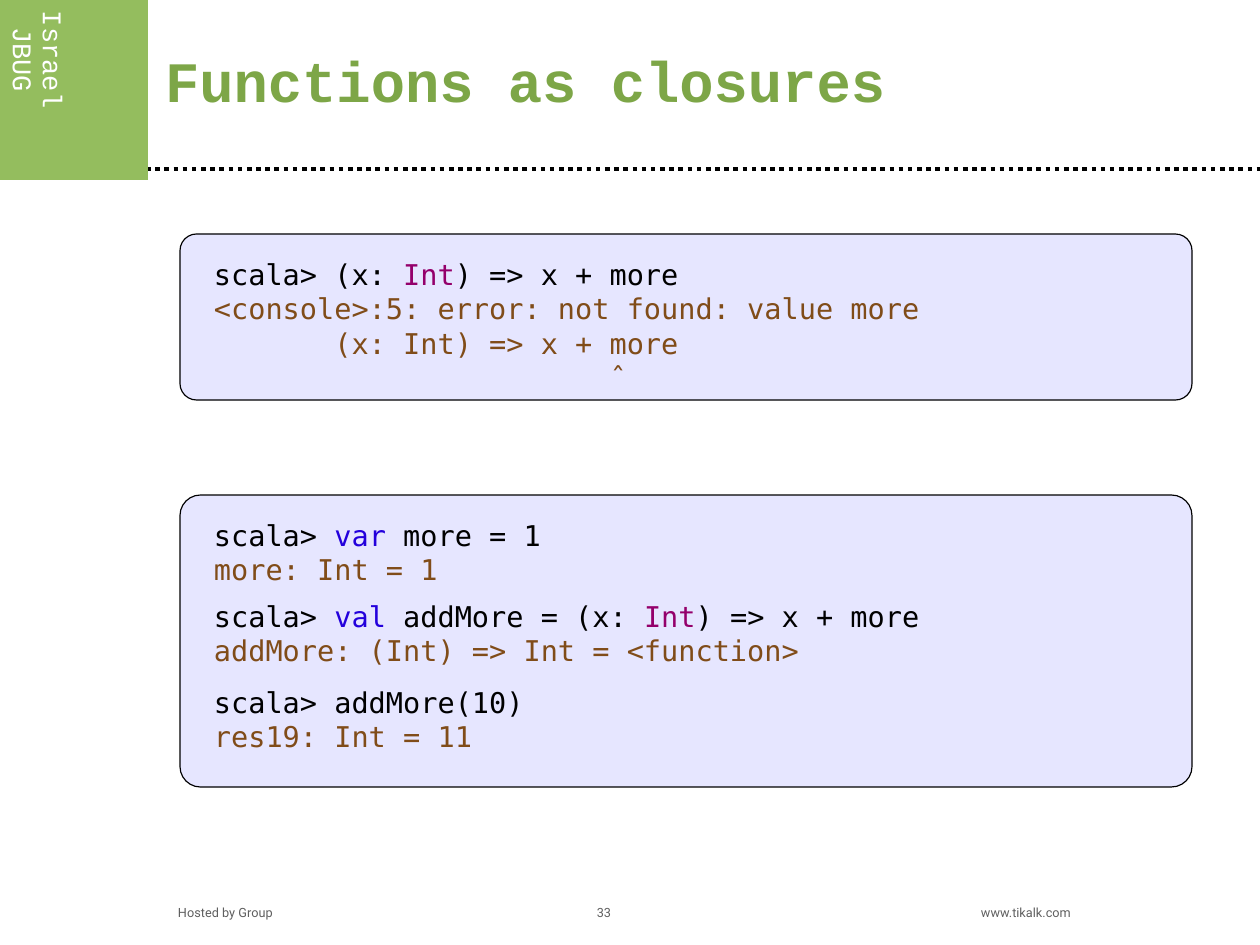
from dataclasses import dataclass

from lxml.etree import SubElement
from pptx import Presentation
from pptx.dml.color import RGBColor
from pptx.enum.dml import MSO_LINE
from pptx.enum.shapes import MSO_CONNECTOR, MSO_SHAPE
from pptx.enum.text import MSO_ANCHOR, MSO_AUTO_SIZE, PP_ALIGN
from pptx.oxml.ns import qn
from pptx.shapes.autoshape import Shape
from pptx.slide import Slide
from pptx.text.text import TextFrame
from pptx.util import Emu, Pt

EMU_PER_PX = 8000
PAGE_WIDTH, PAGE_HEIGHT = 1260, 945


@dataclass(frozen=True)
class Style:
    font: str
    size: int
    color: str
    bold: bool = False


@dataclass(frozen=True)
class Theme:
    green: str = "94BD5E"
    lavender: str = "E6E6FF"
    black: str = "000000"
    code_font: str = "DejaVu Sans Mono"
    code_size: int = 18
    title: Style = Style("Courier New", 36, "7DA647", True)
    badge: Style = Style("Courier New", 17, "FFFFFF")
    footer: Style = Style("Roboto", 8, "5F5F5F")

    def code(self, color: str) -> Style:
        return Style(self.code_font, self.code_size, color)


@dataclass(frozen=True)
class Area:
    left: int
    top: int
    width: int
    height: int

    def emu(self) -> tuple[Emu, Emu, Emu, Emu]:
        return px(self.left), px(self.top), px(self.width), px(self.height)


@dataclass(frozen=True)
class Span:
    text: str
    style: Style


Line = tuple[Span, ...]


@dataclass(frozen=True)
class Panel:
    area: Area
    corner: float


@dataclass(frozen=True)
class Listing:
    top: int
    lines: tuple[Line, ...]


@dataclass(frozen=True)
class FooterItem:
    text: str
    left: int
    align: PP_ALIGN


THEME = Theme()
INPUT = THEME.code(THEME.black)
OUTPUT = THEME.code("804C19")
KEYWORD = THEME.code("2300DC")
TYPE = THEME.code("94006B")

LISTING_LEFT, LISTING_WIDTH, LINE_HEIGHT = 203, 856, 34

PANELS = (
    Panel(Area(180, 234, 1012, 166), 0.1),
    Panel(Area(180, 495, 1012, 292), 0.07),
)

LISTINGS = (
    Listing(251, (
        (Span("scala> (x: ", INPUT), Span("Int", TYPE), Span(") => x + more", INPUT)),
        (Span("<console>:5: error: not found: value more", OUTPUT),),
        (Span("       (x: Int) => x + more", OUTPUT),),
        (Span("                       ˆ", OUTPUT),),
    )),
    Listing(512, (
        (Span("scala> ", INPUT), Span("var", KEYWORD), Span(" more = 1", INPUT)),
        (Span("more: Int = 1", OUTPUT),),
    )),
    Listing(593, (
        (Span("scala> ", INPUT), Span("val", KEYWORD), Span(" addMore = (x: ", INPUT),
         Span("Int", TYPE), Span(") => x + more", INPUT)),
        (Span("addMore: (Int) => Int = <function>", OUTPUT),),
    )),
    Listing(679, (
        (Span("scala> addMore(10)", INPUT),),
        (Span("res19: Int = 11", OUTPUT),),
    )),
)

FOOTER_TOP, FOOTER_WIDTH, FOOTER_HEIGHT = 902, 200, 20
FOOTER = (
    FooterItem("Hosted by Group", 178, PP_ALIGN.LEFT),
    FooterItem("33", 504, PP_ALIGN.CENTER),
    FooterItem("www.tikalk.com", 981, PP_ALIGN.LEFT),
)


def px(length: int) -> Emu:
    return Emu(length * EMU_PER_PX)


def set_frame(frame: TextFrame, anchor: MSO_ANCHOR, inset_x: int, inset_y: int) -> None:
    frame.word_wrap = True
    frame.auto_size = MSO_AUTO_SIZE.NONE
    frame.vertical_anchor = anchor
    frame.margin_left = frame.margin_right = px(inset_x)
    frame.margin_top = frame.margin_bottom = px(inset_y)


def write_lines(frame: TextFrame, lines: tuple[Line, ...],
                align: PP_ALIGN = PP_ALIGN.LEFT, spacing: float = 1.0) -> None:
    for index, line in enumerate(lines):
        para = frame.add_paragraph() if index else frame.paragraphs[0]
        para.alignment = align
        para.line_spacing = spacing
        for part in line:
            span = para.add_run()
            span.text = part.text
            span.font.name = part.style.font
            span.font.size = Pt(part.style.size)
            span.font.bold = part.style.bold
            span.font.color.rgb = RGBColor.from_string(part.style.color)


def add_filled(page: Slide, kind: MSO_SHAPE, area: Area, fill: str) -> Shape:
    box = page.shapes.add_shape(kind, *area.emu())
    box.shadow.inherit = False
    box.fill.solid()
    box.fill.fore_color.rgb = RGBColor.from_string(fill)
    box.line.fill.background()
    return box


def add_header(page: Slide) -> None:
    # Dotted rule
    rule = page.shapes.add_connector(
        MSO_CONNECTOR.STRAIGHT, px(146), px(169), px(PAGE_WIDTH), px(169))
    rule.line.color.rgb = RGBColor.from_string(THEME.black)
    rule.line.width = Pt(2.89)
    rule.line.dash_style = MSO_LINE.ROUND_DOT
    SubElement(rule.element.spPr, qn("a:effectLst"))

    # Corner badge with vertical text
    add_filled(page, MSO_SHAPE.RECTANGLE, Area(0, 0, 148, 180), THEME.green)
    badge = page.shapes.add_textbox(*Area(5, 0, 64, 166).emu()).text_frame
    set_frame(badge, MSO_ANCHOR.MIDDLE, 0, 11)
    badge._txBody.bodyPr.set("vert", "eaVert")
    write_lines(badge, ((Span("Israel JBUG", THEME.badge),),), PP_ALIGN.CENTER, 0.93)

    # Title
    title = page.shapes.title
    title.left, title.top, title.width, title.height = Area(152, 38, 1026, 88).emu()
    set_frame(title.text_frame, MSO_ANCHOR.MIDDLE, 13, 7)
    write_lines(title.text_frame, ((Span("Functions as closures", THEME.title),),),
                spacing=0.98)


def add_panel(page: Slide, panel: Panel) -> None:
    box = add_filled(page, MSO_SHAPE.ROUNDED_RECTANGLE, panel.area, THEME.lavender)
    box.adjustments[0] = panel.corner
    box.line.color.rgb = RGBColor.from_string(THEME.black)
    box.line.width = Pt(0.75)


def add_listing(page: Slide, listing: Listing) -> None:
    height = len(listing.lines) * LINE_HEIGHT + 12
    area = Area(LISTING_LEFT, listing.top, LISTING_WIDTH, height)
    frame = page.shapes.add_textbox(*area.emu()).text_frame
    set_frame(frame, MSO_ANCHOR.TOP, 11, 6)
    write_lines(frame, listing.lines)


def add_footer_item(page: Slide, item: FooterItem) -> None:
    area = Area(item.left, FOOTER_TOP, FOOTER_WIDTH, FOOTER_HEIGHT)
    frame = page.shapes.add_textbox(*area.emu()).text_frame
    set_frame(frame, MSO_ANCHOR.MIDDLE, 0, 0)
    write_lines(frame, ((Span(item.text, THEME.footer),),), item.align)


def main() -> None:
    deck = Presentation()
    deck.slide_width, deck.slide_height = px(PAGE_WIDTH), px(PAGE_HEIGHT)
    page = deck.slides.add_slide(deck.slide_layouts.get_by_name("Title Only"))
    add_header(page)
    for panel in PANELS:
        add_panel(page, panel)
    for listing in LISTINGS:
        add_listing(page, listing)
    for item in FOOTER:
        add_footer_item(page, item)
    deck.save("out.pptx")


if __name__ == "__main__":
    main()
